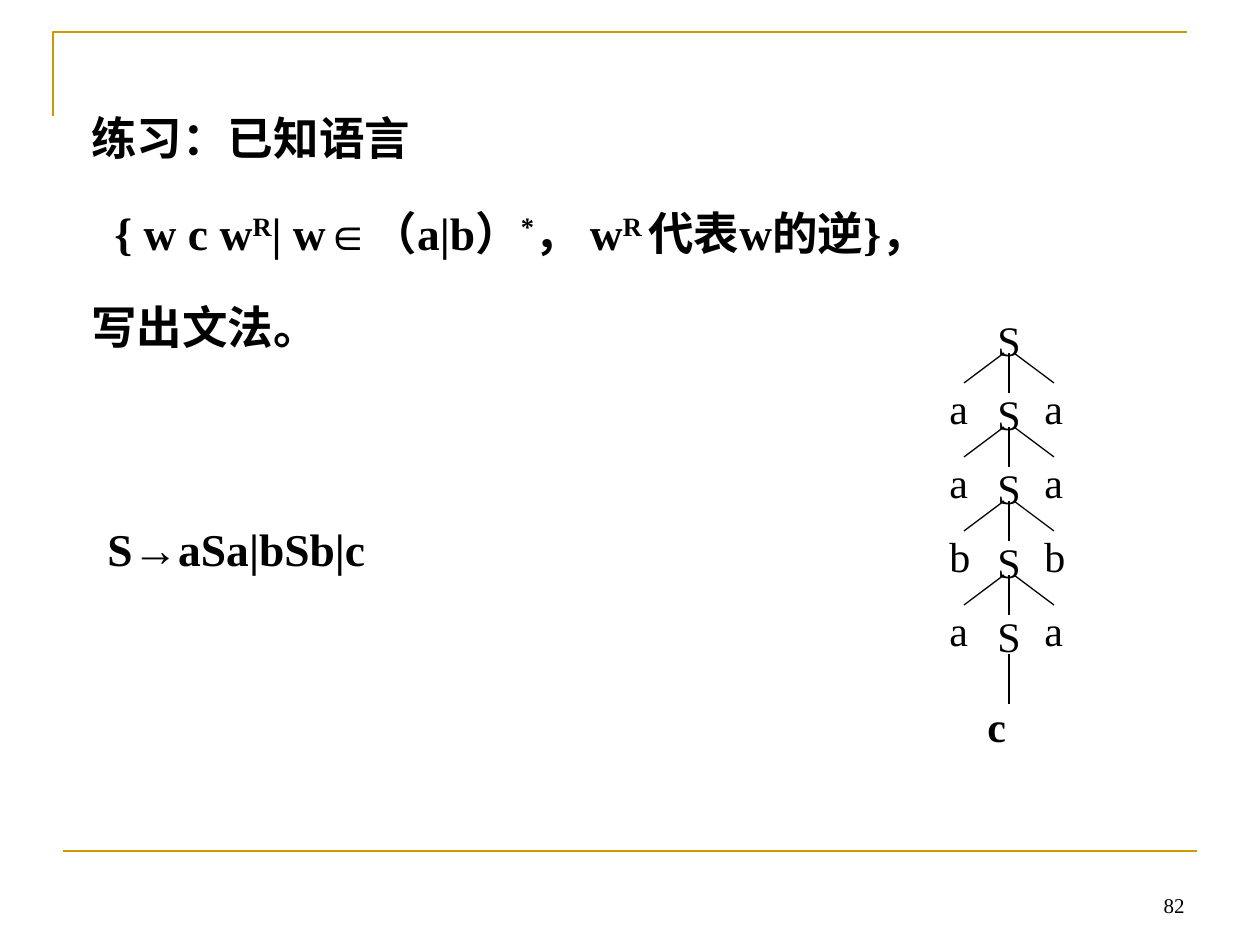
from dataclasses import dataclass

from lxml import etree
from pptx import Presentation
from pptx import util as u
from pptx.dml.color import RGBColor
from pptx.enum import shapes, text
from pptx.oxml.ns import qn

PX_PER_INCH = 126


@dataclass(frozen=True)
class Theme:
    ink: RGBColor = RGBColor(0, 0, 0)
    gold: RGBColor = RGBColor(0xCC, 0x99, 0x00)
    face: str = "Times New Roman"
    body: int = 26
    node: int = 24
    number: int = 12
    rule: float = 1.5
    branch: float = 0.75


THEME = Theme()


def px(length):
    return u.Emu(round(length * 914400 / PX_PER_INCH))


def add_box(page, left, top, width, height):
    box = page.shapes.add_textbox(px(left), px(top), px(width), px(height))
    box.text_frame.word_wrap = True
    return box.text_frame


def add_span(para, words, size, bold=False, raised=False):
    span = para.add_run()
    span.text = words
    span.font.name = THEME.face
    span.font.size = u.Pt(size)
    span.font.bold = bold
    span.font.color.rgb = THEME.ink
    if raised:
        span._r.get_or_add_rPr().set("baseline", "30000")


def add_label(page, words, left, top, bold=False):
    frame = add_box(page, left, top, 90, 63)
    add_span(frame.paragraphs[0], words, THEME.node, bold)


def add_line(page, start, end, color, width):
    line = page.shapes.add_connector(
        shapes.MSO_CONNECTOR.STRAIGHT, *map(px, (*start, *end)))
    line.line.color.rgb = color
    line.line.width = u.Pt(width)
    etree.SubElement(line._element.spPr, qn("a:effectLst"))


def add_frame(page, left, top, width, height):
    """Draw the gold corner at the top and the gold rule at the bottom."""
    builder = page.shapes.build_freeform(px(left), px(top + 84))
    builder.add_line_segments(
        [(px(left), px(top)), (px(left + width), px(top))], close=False)
    corner = builder.convert_to_shape()
    corner.shadow.inherit = False
    corner.fill.background()
    corner.line.color.rgb = THEME.gold
    corner.line.width = u.Pt(THEME.rule)
    bottom = top + height
    add_line(page, (left + 10, bottom), (left + 10 + width, bottom),
             THEME.gold, THEME.rule)


def add_page_number(page, number, left, top, width, height):
    frame = add_box(page, left, top, width, height)
    frame.vertical_anchor = text.MSO_ANCHOR.BOTTOM
    para = frame.paragraphs[0]
    para.alignment = text.PP_ALIGN.RIGHT
    add_span(para, number, THEME.number)


def add_statement(page, lines, left, top, width, height):
    """Each line is (left indent, [(words, raised), ...])."""
    frame = add_box(page, left, top, width, height)
    for index, (indent, spans) in enumerate(lines):
        para = frame.add_paragraph() if index else frame.paragraphs[0]
        para.line_spacing = 1.5
        if index:
            para.space_before = u.Pt(7)
        if indent:
            para._p.get_or_add_pPr().set("marL", str(px(indent)))
        for words, raised in spans:
            add_span(para, words, THEME.body, True, raised)


def add_parse_tree(page, leaves, end, left, top):
    """Stack one S per leaf pair, then a last S that yields the end symbol."""
    step, axis = 74, left + 72

    def branch(start, finish):
        add_line(page, start, finish, THEME.ink, THEME.branch)

    for level, leaf in enumerate(leaves):
        y = top + level * step
        add_label(page, "S", left + 48, y)
        for side, x in ((-1, left), (1, left + 95)):
            add_label(page, leaf, x, y + 68)
            branch((axis + side * 5, y + 45), (axis + side * 45, y + 75))
        branch((axis, y + 45), (axis, y + 85))

    y = top + len(leaves) * step
    add_label(page, "S", left + 48, y)
    branch((axis, y + 50), (axis, y + 100))
    add_label(page, end, left + 38, y + 90, bold=True)


def main():
    deck = Presentation()
    deck.slide_width, deck.slide_height = px(1260), px(945)
    page = deck.slides.add_slide(deck.slide_layouts[6])

    add_frame(page, 53, 32, 1134, 819)
    add_page_number(page, "82", 903, 861, 294, 63)
    add_statement(page, [
        (0, [("练习：已知语言", False)]),
        (23, [("{ w c w", False), ("R", True), ("| w∈（a|b）", False),
              ("*", True), ("， w", False), ("R ", True),
              ("代表w的逆}，", False)]),
        (0, [("写出文法。", False)]),
    ], 79, 77, 1181, 290)
    add_statement(page, [(0, [("S→aSa|bSb|c", False)])], 95, 488, 781, 86)
    add_parse_tree(page, "aaba", "c", 937, 308)

    deck.save("out.pptx")


if __name__ == "__main__":
    main()
